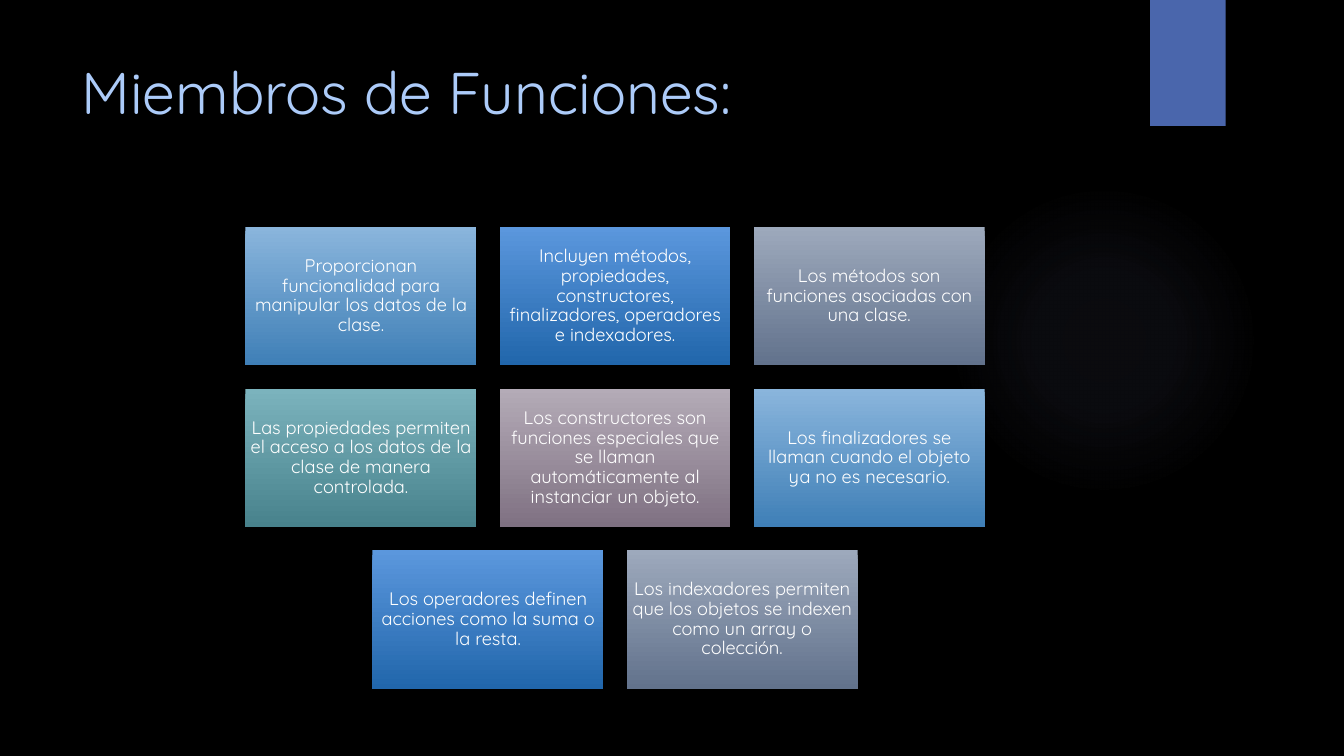
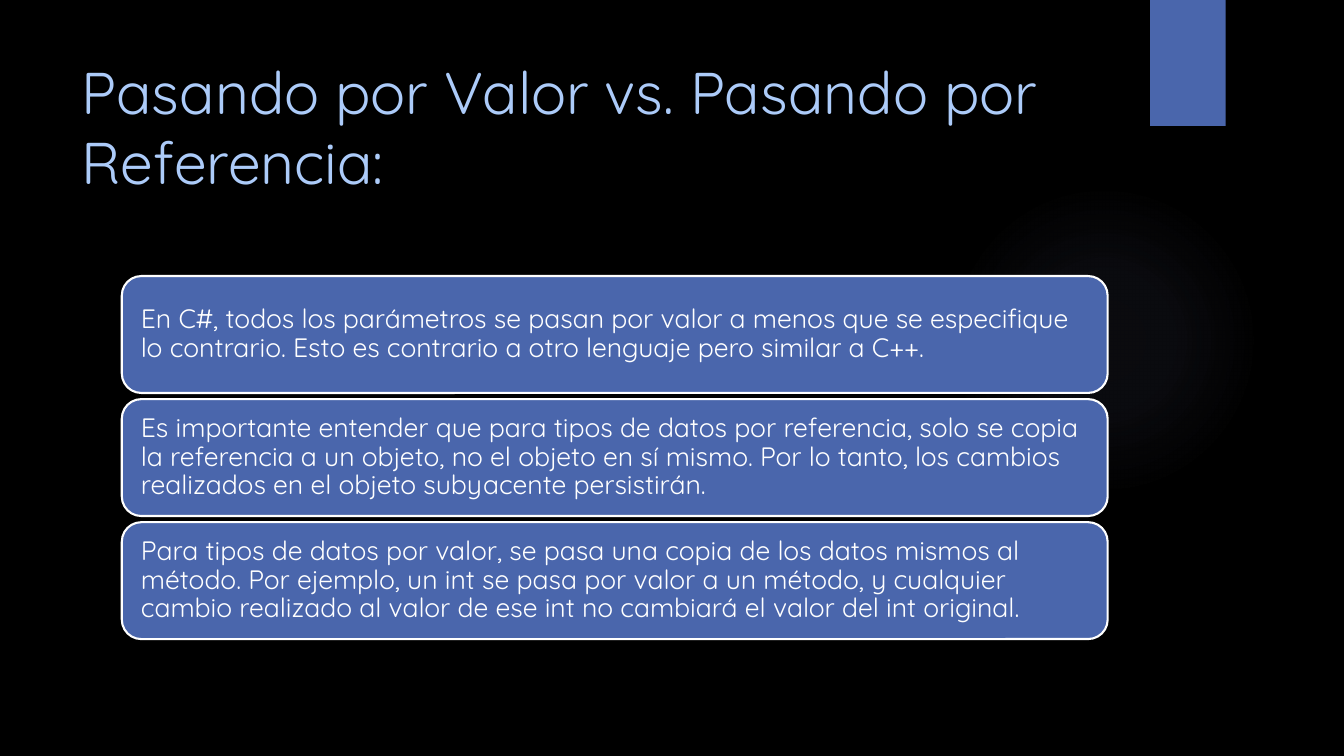
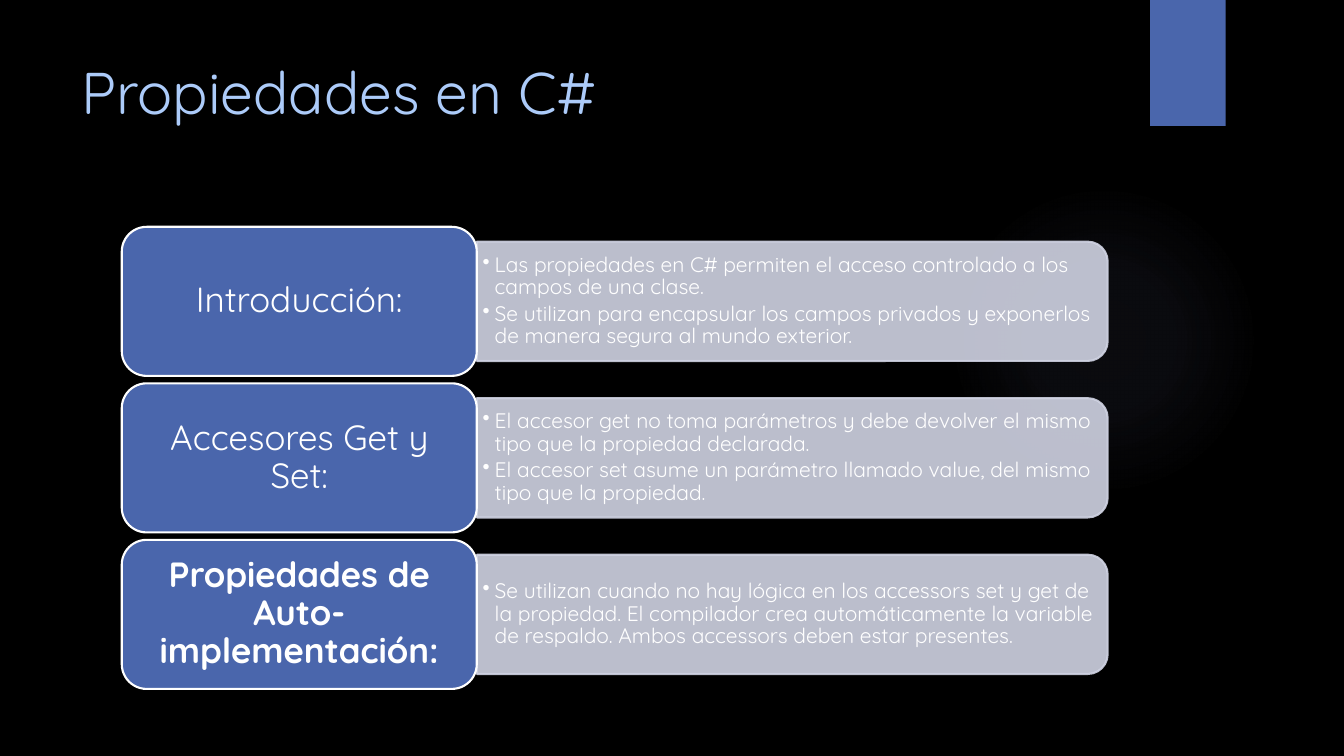
from lxml import etree
from pptx import Presentation
from pptx import oxml
from pptx.dml.color import RGBColor
from pptx.enum import shapes, text
from pptx.oxml import ns
from pptx.util import Pt

FONT = "Quicksand"
BLACK, WHITE = "000000", "FFFFFF"
INDIGO, SKY, PALE, GLOW = "4A66AC", "ACCBF9", "D0D3E3", "9297CF"
GRADIENTS = [("8AB5DC", "3F7FB7"), ("5B97DD", "2166AB"), ("9DA9BC", "62728C"),
             ("7BB3BD", "48828C"), ("B4ABB7", "7F7182")]
TOP = 162
LEFT, RIGHT = 87, 791.2

MEMBERS = [
    "Proporcionan funcionalidad para manipular los datos de la clase.",
    "Incluyen métodos, propiedades, constructores, finalizadores, operadores e indexadores.",
    "Los métodos son funciones asociadas con una clase.",
    "Las propiedades permiten el acceso a los datos de la clase de manera controlada.",
    "Los constructores son funciones especiales que se llaman automáticamente al instanciar un objeto.",
    "Los finalizadores se llaman cuando el objeto ya no es necesario.",
    "Los operadores definen acciones como la suma o la resta.",
    "Los indexadores permiten que los objetos se indexen como un array o colección.",
]
PASSING_RULES = [
    "En C#, todos los parámetros se pasan por valor a menos que se especifique lo contrario. "
    "Esto es contrario a otro lenguaje pero similar a C++.",
    "Es importante entender que para tipos de datos por referencia, solo se copia la referencia "
    "a un objeto, no el objeto en sí mismo. Por lo tanto, los cambios realizados en el objeto "
    "subyacente persistirán.",
    "Para tipos de datos por valor, se pasa una copia de los datos mismos al método. Por ejemplo, "
    "un int se pasa por valor a un método, y cualquier cambio realizado al valor de ese int no "
    "cambiará el valor del int original.",
]
# heading, bold heading, bullets
PROPERTIES = [
    ("Introducción:", False, [
        "Las propiedades en C# permiten el acceso controlado a los campos de una clase.",
        "Se utilizan para encapsular los campos privados y exponerlos de manera segura al mundo exterior."]),
    ("Accesores Get y Set:", False, [
        "El accesor get no toma parámetros y debe devolver el mismo tipo que la propiedad declarada.",
        "El accesor set asume un parámetro llamado value, del mismo tipo que la propiedad."]),
    ("Propiedades de Auto-implementación:", True, [
        "Se utilizan cuando no hay lógica en los accessors set y get de la propiedad. El compilador "
        "crea automáticamente la variable de respaldo. Ambos accessors deben estar presentes."]),
]


def color(value):
    return RGBColor.from_string(value)


def add_shape(slide, kind, left, top, width, height, fill=None, line=None):
    shape = slide.shapes.add_shape(kind, Pt(left), Pt(top), Pt(width), Pt(height))
    shape.shadow.inherit = False
    if fill:
        shape.fill.solid()
        shape.fill.fore_color.rgb = color(fill)
    else:
        shape.fill.background()
    if line:
        shape.line.color.rgb = color(line)
        shape.line.width = Pt(1.5)
    else:
        shape.line.fill.background()
    return shape


def set_transparency(shape, opacity):
    for element in list(shape.element.spPr.iter(ns.qn("a:srgbClr"))):
        etree.SubElement(element, ns.qn("a:alpha"), val=str(opacity * 1000))


def add_bullet(paragraph, indent):
    properties = paragraph._p.get_or_add_pPr()
    properties.set("marL", str(Pt(indent)))
    properties.set("indent", str(-Pt(indent)))
    etree.SubElement(properties, ns.qn("a:buChar"), char="•")


def write(shape, content, size, font_color=WHITE, align=text.PP_ALIGN.LEFT,
          anchor=text.MSO_ANCHOR.MIDDLE, insets=(3.6, 3.6), spacing=0.9,
          bold=False, bullets=False):
    frame = shape.text_frame
    frame.text = content
    frame.word_wrap = True
    frame.auto_size = text.MSO_AUTO_SIZE.NONE
    frame.vertical_anchor = anchor
    frame.margin_left = frame.margin_right = Pt(insets[0])
    frame.margin_top = frame.margin_bottom = Pt(insets[1])
    for number, paragraph in enumerate(frame.paragraphs):
        paragraph.alignment = align
        paragraph.line_spacing = spacing
        paragraph.space_before = Pt(2.6 if number else 0)
        if bullets:
            add_bullet(paragraph, 8.6)
        for run in paragraph.runs:
            run.font.name = FONT
            run.font.size = Pt(size)
            run.font.bold = bold
            run.font.color.rgb = color(font_color)


def fill_with_glow(shape):
    """Fill with a radial gradient that fades to clear."""
    stops = "".join(
        f'<a:gs pos="{position}000"><a:srgbClr val="{GLOW}">'
        f'<a:alpha val="{opacity}000"/></a:srgbClr></a:gs>'
        for position, opacity in [(0, 7), (36, 6), (69, 0), (100, 0)])
    gradient = oxml.parse_xml(
        f'<a:gradFill {ns.nsdecls("a")}><a:gsLst>{stops}</a:gsLst><a:path path="circle">'
        '<a:fillToRect l="50000" t="50000" r="50000" b="50000"/></a:path></a:gradFill>')
    properties = shape.element.spPr
    properties.replace(properties.find(ns.qn("a:noFill")), gradient)


def dress_layout(layout, slide):
    """Set background, title place and decoration; the slide only lends its shape tools."""
    background = layout.slide_master.background.fill
    background.solid()
    background.fore_color.rgb = color(BLACK)
    for placeholder in list(layout.placeholders):
        if placeholder.placeholder_format.idx:
            placeholder.element.getparent().remove(placeholder.element)
        else:
            placeholder.left, placeholder.top = Pt(51), Pt(36)
            placeholder.width, placeholder.height = Pt(741), Pt(110)
    glow = add_shape(slide, shapes.MSO_SHAPE.OVAL, 677.5, 131.8, 221.8, 221.8)
    fill_with_glow(glow)
    band = add_shape(slide, shapes.MSO_SHAPE.RECTANGLE, 821.5, 0, 54, 90, INDIGO)
    for shape in (glow, band):
        layout.shapes.element.append(shape.element)


def set_title(slide, title):
    write(slide.shapes.title, title, 42, SKY, anchor=text.MSO_ANCHOR.TOP,
          insets=(7.2, 3.6), spacing=1.0)


def add_member_grid(slide):
    width, height, gap, columns, center = 165, 99, 16.5, 3, 439.3
    for start in range(0, len(MEMBERS), columns):
        row = MEMBERS[start:start + columns]
        left = center - (len(row) * (width + gap) - gap) / 2
        top = TOP + start // columns * (height + gap)
        for column, member in enumerate(row):
            box = add_shape(slide, shapes.MSO_SHAPE.RECTANGLE,
                            left + column * (width + gap), top, width, height)
            box.fill.gradient()
            box.fill.gradient_angle = 270
            pair = GRADIENTS[(start + column) % len(GRADIENTS)]
            for stop, value in zip(box.fill.gradient_stops, pair):
                stop.color.rgb = color(value)
            write(box, member, 13, align=text.PP_ALIGN.CENTER)


def add_rule_boxes(slide):
    for number, rule in enumerate(PASSING_RULES):
        box = add_shape(slide, shapes.MSO_SHAPE.ROUNDED_RECTANGLE, LEFT, 197.2 + number * 87.9,
                        RIGHT - LEFT, 83.5, INDIGO, WHITE)
        write(box, rule, 19, insets=(9.6, 9.6))


def add_panel(slide, left, middle, width, height):
    """Draw a panel rounded on its right side only."""
    panel = add_shape(slide, shapes.MSO_SHAPE.ROUND_2_SAME_RECTANGLE,
                      left + (width - height) / 2, middle - width / 2, height, width, PALE, PALE)
    panel.rotation = 90
    set_transparency(panel, 90)


def add_property_rows(slide):
    split, height = 340.6, 106.5
    for number, (heading, bold, bullets) in enumerate(PROPERTIES):
        top = TOP + number * 111.8
        middle = top + height / 2
        add_panel(slide, split, middle, RIGHT - split, 85.2)
        details = slide.shapes.add_textbox(Pt(split), Pt(middle - 38.5), Pt(446.4), Pt(77))
        write(details, "\n".join(bullets), 15, insets=(4.2, 2.1), bullets=True)
        box = add_shape(slide, shapes.MSO_SHAPE.ROUNDED_RECTANGLE, LEFT, top,
                        split - LEFT, height, INDIGO, WHITE)
        write(box, heading, 25, align=text.PP_ALIGN.CENTER, insets=(12.2, 8.6), bold=bold)


def main():
    presentation = Presentation()
    presentation.slide_width, presentation.slide_height = Pt(960), Pt(540)
    layout = presentation.slide_layouts[5]
    contents = [("Miembros de Funciones:", add_member_grid),
                ("Pasando por Valor vs. Pasando por Referencia:", add_rule_boxes),
                ("Propiedades en C#", add_property_rows)]
    for number, (title, add_content) in enumerate(contents):
        slide = presentation.slides.add_slide(layout)
        if number == 0:
            dress_layout(layout, slide)
        set_title(slide, title)
        add_content(slide)
    presentation.save("out.pptx")


if __name__ == "__main__":
    main()
